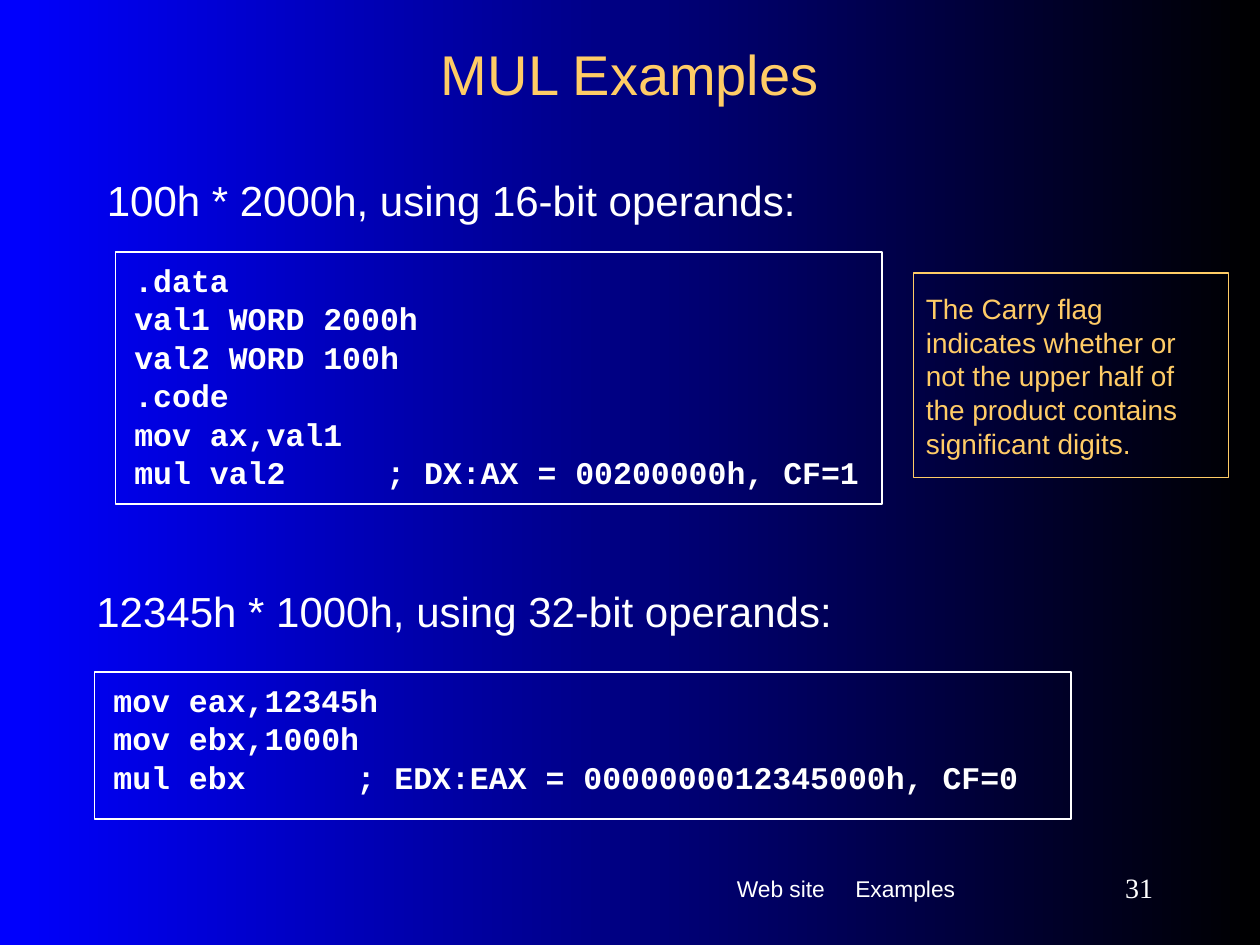
import pptx
import pptx.util
import pptx.dml.color
import pptx.enum.shapes
import pptx.enum.text
import lxml.etree

WIDTH, HEIGHT = 10, 7.5
COLUMNS, ROWS = 120, 90

THEME = {
    "black": "000000", "blue": "0000FF", "white": "FFFFFF", "gold": "FFCC66",
    "sans": "Arial", "mono": "Courier New", "serif": "Times New Roman",
    "title": 32, "heading": 24, "code": 18, "note": 16, "number": 16, "footer": 13,
    "outline": 0.75, "code_gap": 11.2, "code_spacing": 0.5,
}

STYLES = {
    "title": {"font": "sans", "color": "gold", "margins": (0.1, 0.05), "align": "CENTER", "anchor": "MIDDLE"},
    "heading": {"font": "sans", "color": "white", "margins": (0.1, 0.05)},
    "code": {"font": "mono", "color": "white", "margins": (0.15, 0.2), "outlined": True},
    "note": {"font": "sans", "color": "gold", "margins": (0.1, 0.15), "outlined": True},
    "footer": {"font": "sans", "color": "white", "margins": (0.1, 0.15)},
    "number": {"font": "serif", "color": "white", "margins": (0.1, 0.05), "align": "RIGHT", "anchor": "MIDDLE"},
}

WORD_CODE = [
    ".data",
    "val1 WORD 2000h",
    "val2 WORD 100h",
    ".code",
    "mov ax,val1",
    "mul val2\t; DX:AX = 00200000h, CF=1",
]
DOUBLEWORD_CODE = [
    "mov eax,12345h",
    "mov ebx,1000h",
    "mul ebx\t; EDX:EAX = 0000000012345000h, CF=0",
]
CARRY_NOTE = ("The Carry flag indicates whether or not the upper half of "
              "the product contains significant digits.")

# style, (column, row, columns, rows), lines, tab stop in inches
CONTENT = [
    ("footer", (69, 82, 27, 6.25), ["Web site\tExamples"], 0.94),
    ("title", (9, 3, 102, 8), ["MUL Examples"], None),
    ("heading", (9, 16, 102, 7), ["100h * 2000h, using 16-bit operands:"], None),
    ("code", (11, 24, 73, 24), WORD_CODE, 2),
    ("note", (87, 26, 30, 19.5), [CARRY_NOTE], None),
    ("code", (9, 64, 93, 14), DOUBLEWORD_CODE, 1.93),
    ("heading", (8, 55.2, 94, 7), ["12345h * 1000h, using 32-bit operands:"], None),
    ("number", (98, 82, 13, 5), ["31"], None),
]


def color(name):
    return pptx.dml.color.RGBColor.from_string(THEME[name])


def place(cell):
    column, row, columns, rows = cell
    horizontal, vertical = WIDTH / COLUMNS, HEIGHT / ROWS
    return [pptx.util.Inches(length) for length in
            (column * horizontal, row * vertical, columns * horizontal, rows * vertical)]


def add_tab(paragraph, position):
    properties = paragraph._p.get_or_add_pPr()
    namespace = properties.nsmap["a"]
    tabs = lxml.etree.SubElement(properties, f"{{{namespace}}}tabLst")
    lxml.etree.SubElement(tabs, f"{{{namespace}}}tab",
                          pos=str(pptx.util.Inches(position)), algn="l")


def add_block(slide, kind, cell, lines, tab):
    style = STYLES[kind]
    if style.get("outlined"):
        shape = slide.shapes.add_shape(pptx.enum.shapes.MSO_SHAPE.RECTANGLE, *place(cell))
        shape.shadow.inherit = False
        shape.fill.background()
        shape.line.color.rgb = color(style["color"])
        shape.line.width = pptx.util.Pt(THEME["outline"])
    else:
        shape = slide.shapes.add_textbox(*place(cell))
    frame = shape.text_frame
    frame.word_wrap = True
    frame.vertical_anchor = pptx.enum.text.MSO_ANCHOR[style.get("anchor", "TOP")]
    side, edge = (pptx.util.Inches(margin) for margin in style["margins"])
    frame.margin_left = frame.margin_right = side
    frame.margin_top = frame.margin_bottom = edge
    frame.text = "\n".join(lines)
    for index, paragraph in enumerate(frame.paragraphs):
        paragraph.alignment = pptx.enum.text.PP_ALIGN[style.get("align", "LEFT")]
        if kind == "code":
            paragraph.line_spacing = THEME["code_spacing"]
            if index:
                paragraph.space_before = pptx.util.Pt(THEME["code_gap"])
        if tab:
            add_tab(paragraph, tab)
        for run in paragraph.runs:
            run.font.name = THEME[style["font"]]
            run.font.size = pptx.util.Pt(THEME[kind])
            run.font.color.rgb = color(style["color"])
            run.font.bold = kind == "code"


def main():
    presentation = pptx.Presentation()
    presentation.slide_width = pptx.util.Inches(WIDTH)
    presentation.slide_height = pptx.util.Inches(HEIGHT)
    slide = presentation.slides.add_slide(presentation.slide_layouts[6])
    fill = slide.background.fill
    fill.gradient()
    fill.gradient_angle = 180
    for stop, name in zip(fill.gradient_stops, ("black", "blue")):
        stop.color.rgb = color(name)
    for block in CONTENT:
        add_block(slide, *block)
    presentation.save("out.pptx")


if __name__ == "__main__":
    main()
